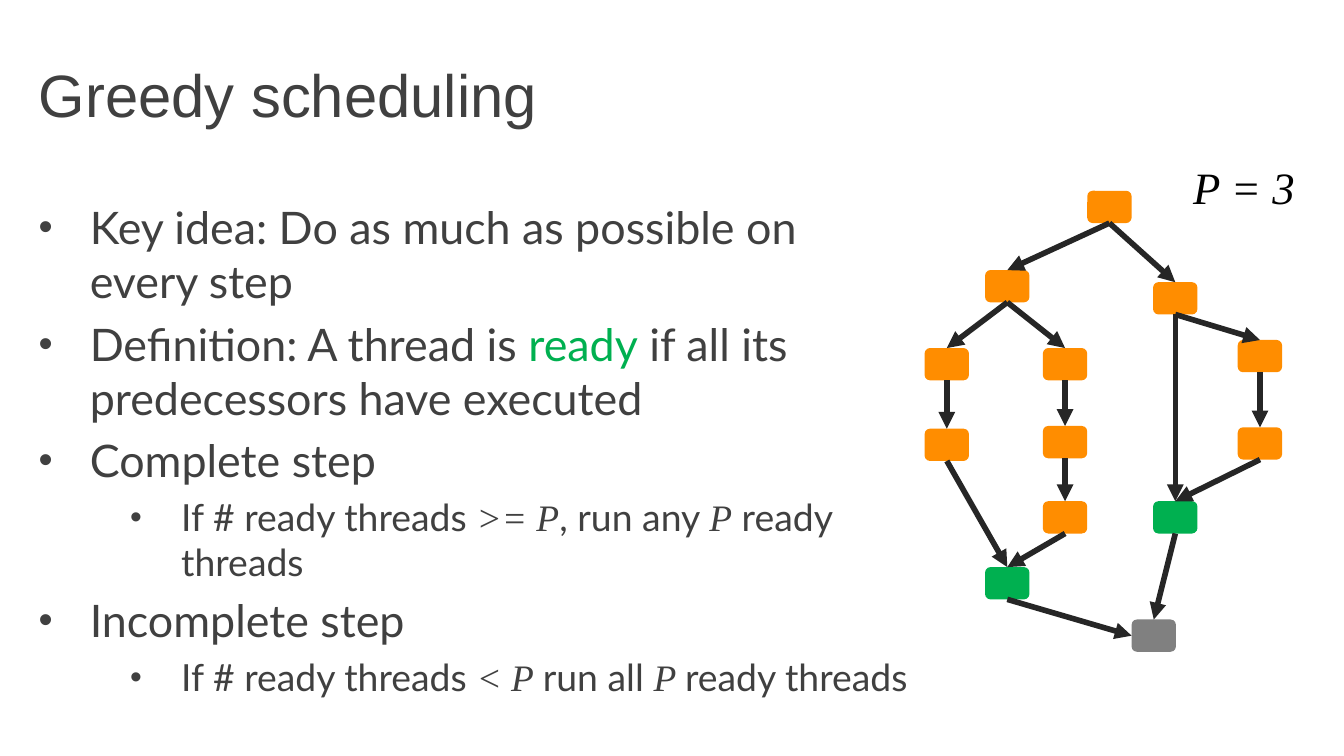
from dataclasses import dataclass

from lxml.etree import SubElement
from pptx import Presentation
from pptx.dml.color import RGBColor
from pptx.enum.shapes import MSO_CONNECTOR as Conn, MSO_SHAPE as Shape
from pptx.enum.text import MSO_ANCHOR as Anchor
from pptx.oxml.ns import qn
from pptx.util import Inches, Pt

COLORS = {"text": "404040", "black": "000000", "done": "FF8D00",
          "ready": "00B050", "waiting": "808080", "edge": "262626"}
SLIDE_W = 10
SLIDE_H = SLIDE_W * 9 / 16
NODE_W, NODE_H = 0.33, 0.24
TOP, LEFT, BOTTOM = 0, 1, 2
HANGING = 0.38
LEVEL_INDENTS = (0.38, 1.06)
LEVEL_SIZES = (24, 20)


@dataclass
class Node:
    name: str
    x: float
    y: float
    state: str = "done"


@dataclass
class Edge:
    start: str
    end: str
    side: int = TOP


@dataclass
class Run:
    text: str
    font: str = "Lato"
    color: str = "text"
    italic: bool = False


@dataclass
class Bullet:
    runs: list[Run]
    level: int = 0


def math_run(text: str) -> Run:
    return Run(text, "Times New Roman", italic=True)


NODES = [
    Node("root", 8.09, 1.42),
    Node("left", 7.33, 2.01),
    Node("a1", 6.88, 2.59),
    Node("left_join", 7.33, 4.22, "ready"),
    Node("right", 8.58, 2.1),
    Node("b1", 7.76, 2.59),
    Node("a2", 6.88, 3.19),
    Node("b2", 7.76, 3.17),
    Node("b3", 7.76, 3.73),
    Node("final", 8.42, 4.61, "waiting"),
    Node("c1", 9.21, 2.53),
    Node("right_join", 8.58, 3.73, "ready"),
    Node("c2", 9.21, 3.18),
]
EDGES = [
    Edge("root", "left"), Edge("left", "a1"), Edge("left", "b1"),
    Edge("a1", "a2"), Edge("b1", "b2"), Edge("b2", "b3"),
    Edge("a2", "left_join"), Edge("b3", "left_join"),
    Edge("left_join", "final", LEFT), Edge("right_join", "final"),
    Edge("root", "right"), Edge("right", "right_join"),
    Edge("right", "c1"), Edge("c1", "c2"), Edge("c2", "right_join"),
]
BULLETS = [
    Bullet([Run("Key idea: Do as much as possible on every step")]),
    Bullet([Run("Definition: A thread is "), Run("ready", color="ready"),
            Run(" if all its predecessors have executed")]),
    Bullet([Run("Complete step")]),
    Bullet([Run("If # ready threads "), math_run(">= P"), Run(", run any "),
            math_run("P"), Run(" ready threads")], 1),
    Bullet([Run("Incomplete step")]),
    Bullet([Run("If # ready threads "), math_run("< P "), Run("run all "),
            math_run("P "), Run("ready threads")], 1),
]


def rgb(key: str) -> RGBColor:
    return RGBColor.from_string(COLORS[key])


def add_run(p, run: Run, size: float) -> None:
    r = p.add_run()
    r.text = run.text
    formats = {"name": run.font, "size": Pt(size), "italic": run.italic}
    for key, value in formats.items():
        setattr(r.font, key, value)
    r.font.color.rgb = rgb(run.color)


def add_text_frame(s, x: float, y: float, w: float, h: float, **formats):
    tf = s.shapes.add_textbox(Inches(x), Inches(y), Inches(w), Inches(h)).text_frame
    for key, value in formats.items():
        setattr(tf, key, value)
    return tf


def add_bullets(tf, bullets: list[Bullet]) -> None:
    for i, bullet in enumerate(bullets):
        p = tf.add_paragraph() if i else tf.paragraphs[0]
        size = LEVEL_SIZES[bullet.level]
        p.level = bullet.level
        p.space_before = Pt(0.2 * size if i else 0)
        pPr = p._p.get_or_add_pPr()
        pPr.set("marL", str(Inches(LEVEL_INDENTS[bullet.level])))
        pPr.set("indent", str(Inches(-HANGING)))
        SubElement(pPr, qn("a:buSzPct"), val="90000")
        SubElement(pPr, qn("a:buFont"), typeface="Arial")
        SubElement(pPr, qn("a:buChar"), char="•")
        for run in bullet.runs:
            add_run(p, run, size)


def add_node(s, node: Node):
    sp = s.shapes.add_shape(Shape.ROUNDED_RECTANGLE, Inches(node.x), Inches(node.y),
                            Inches(NODE_W), Inches(NODE_H))
    sp.shadow.inherit = False
    sp.fill.solid()
    sp.fill.fore_color.rgb = rgb(node.state)
    sp.line.fill.background()
    return sp


def add_edge(s, edge: Edge, boxes: dict) -> None:
    c = s.shapes.add_connector(Conn.STRAIGHT, 0, 0, 0, 0)
    c.begin_connect(boxes[edge.start], BOTTOM)
    c.end_connect(boxes[edge.end], edge.side)
    c.line.color.rgb = rgb("edge")
    c.line.width = Pt(3)
    SubElement(c.line._get_or_add_ln(), qn("a:tailEnd"), type="triangle")
    SubElement(c._element.spPr, qn("a:effectLst"))


def main() -> None:
    prs = Presentation()
    prs.slide_width, prs.slide_height = Inches(SLIDE_W), Inches(SLIDE_H)
    s = prs.slides.add_slide(prs.slide_layouts[6])

    tf = add_text_frame(s, 0.19, 0.23, 9.68, 0.94, word_wrap=True,
                        vertical_anchor=Anchor.MIDDLE)
    add_run(tf.paragraphs[0], Run("Greedy scheduling", "Arial"), 32)
    add_bullets(add_text_frame(s, 0.19, 1.44, 6.7, 3.96, word_wrap=True), BULLETS)

    boxes = {node.name: add_node(s, node) for node in NODES}
    for edge in EDGES:
        add_edge(s, edge, boxes)

    tf = add_text_frame(s, 8.78, 1.14, 0.97, 0.5, word_wrap=False)
    add_run(tf.paragraphs[0], Run("P = 3", "Times New Roman", "black", True), 24)

    prs.save("out.pptx")


if __name__ == "__main__":
    main()
